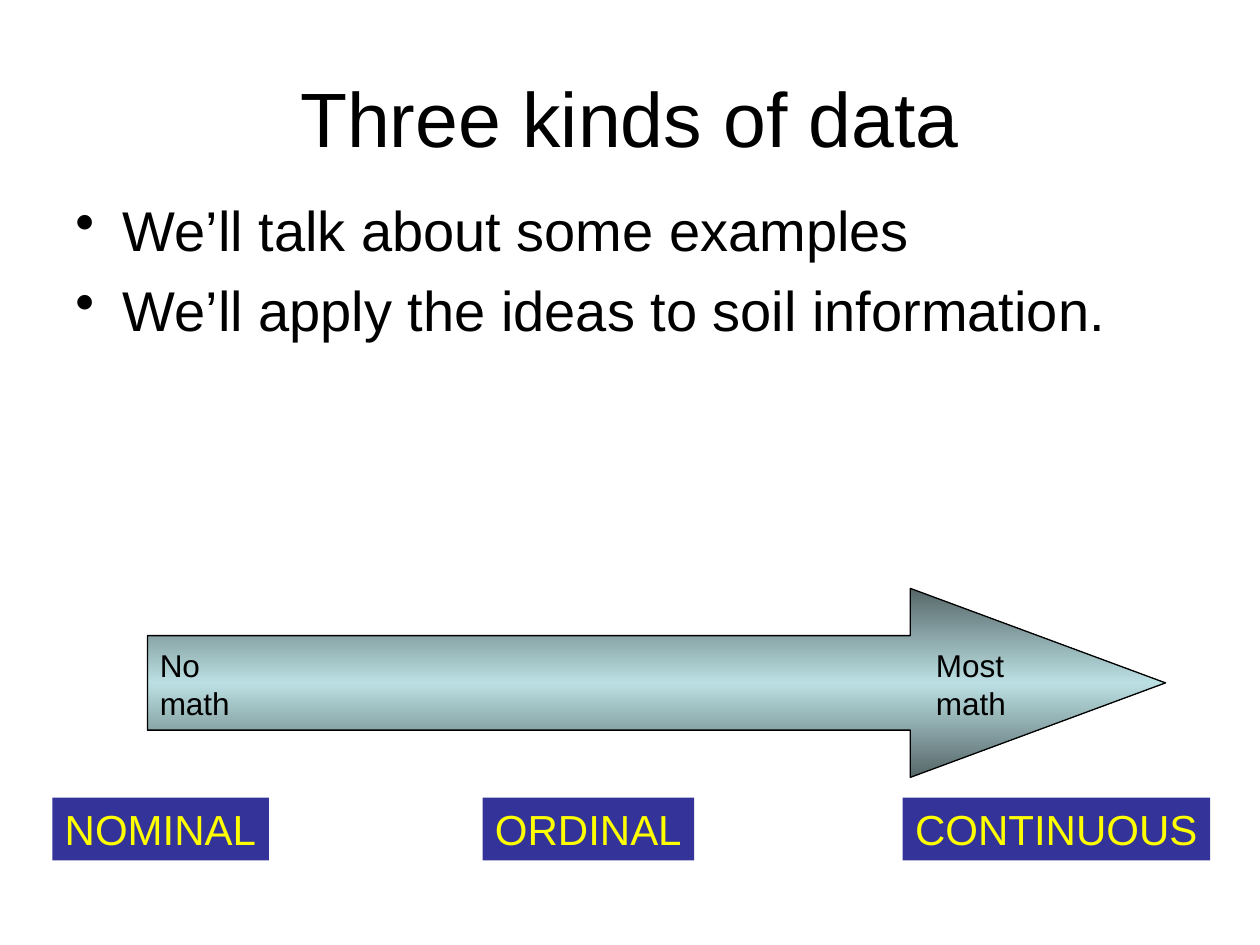
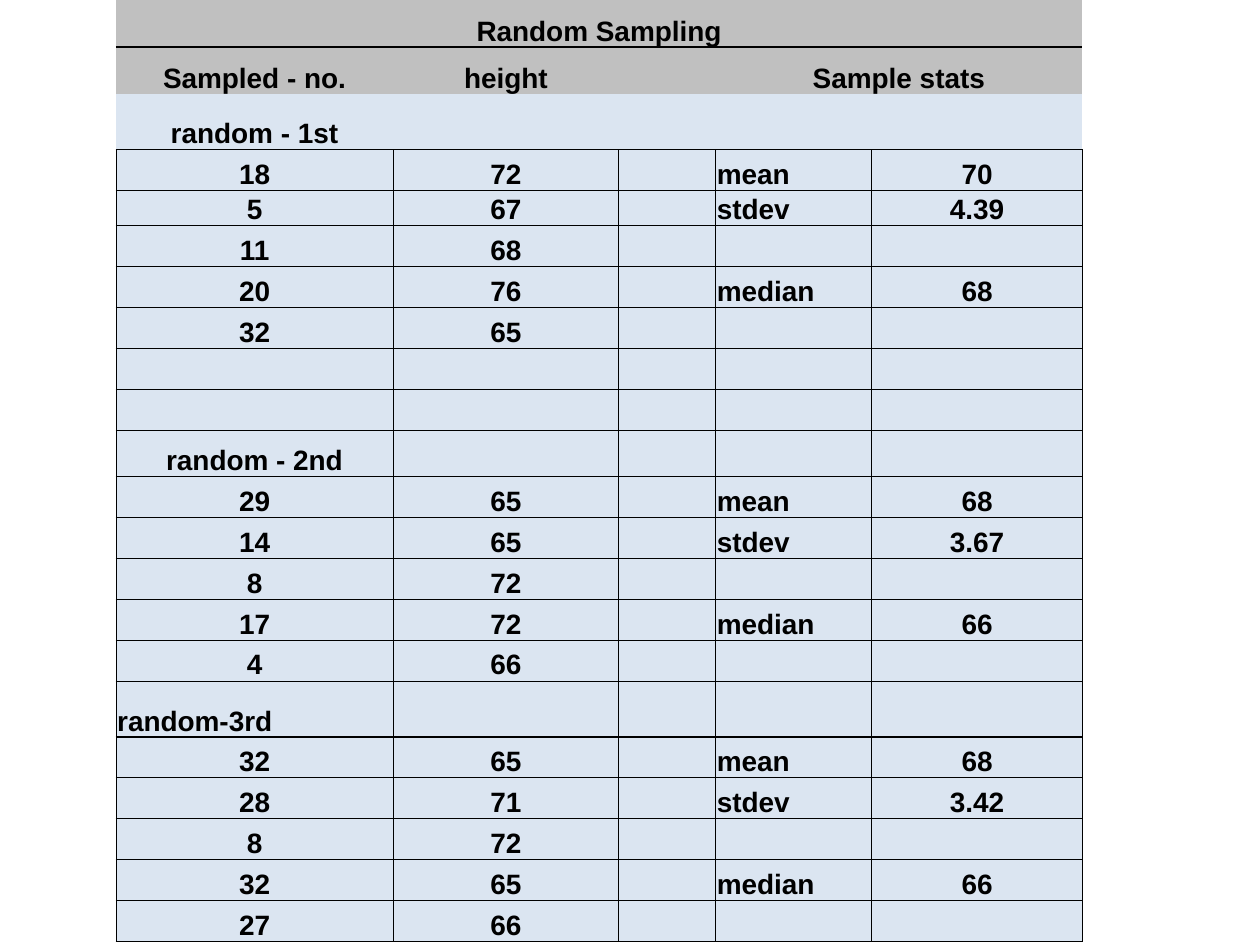
from copy import deepcopy
from dataclasses import dataclass

from lxml.etree import SubElement
from pptx import Presentation
from pptx.dml.color import RGBColor
from pptx.enum.shapes import MSO_SHAPE
from pptx.enum.text import MSO_ANCHOR, MSO_AUTO_SIZE, PP_ALIGN
from pptx.oxml.ns import qn
from pptx.util import Emu, Pt

EMU_PER_PX = 4572  # 200 px to the inch


def px(length: int) -> Emu:
    return Emu(length * EMU_PER_PX)


@dataclass(frozen=True)
class Theme:
    font: str = "Arial"
    ink: str = "000000"
    label_fill: str = "333399"
    label_ink: str = "FFFF00"
    arrow_edge: str = "566769"
    arrow_core: str = "BBE0E3"
    header_fill: str = "C0C0C0"
    body_fill: str = "DBE5F1"
    title_size: int = 44
    bullet_size: int = 32
    label_size: int = 24
    note_size: int = 18
    cell_size: int = 16
    thin_rule: float = 0.5
    thick_rule: float = 1


THEME = Theme()


@dataclass(frozen=True)
class Box:
    left: int
    top: int
    width: int
    height: int

    def place(self) -> tuple:
        return px(self.left), px(self.top), px(self.width), px(self.height)


@dataclass(frozen=True)
class Label:
    text: str
    box: Box


TITLE_BOX = Box(100, 60, 1800, 250)
BULLETS_BOX = Box(100, 300, 1800, 1040)
ARROW_BOX = Box(234, 934, 1616, 300)

NOTES = [
    Label("Most\nmath", Box(1466, 1016, 152, 140)),
    Label("No\nmath", Box(234, 1016, 152, 140)),
]
LABELS = [
    Label("NOMINAL", Box(83, 1266, 344, 100)),
    Label("ORDINAL", Box(766, 1266, 336, 100)),
    Label("CONTINUOUS", Box(1433, 1266, 488, 100)),
]

# Sampling table: number, height, gap, statistic, value
HEADER_ROWS = 2
FIRST_GRID_ROW = 3
SECTION_ROWS = (10, 16)
COLUMN_WIDTHS = [440, 358, 154, 248, 334]
ROW_HEIGHT = 65
SPECIAL_HEIGHTS = {0: 75, 1: 75, 2: 88, 4: 50, 10: 73, 16: 89}
SAMPLES = [
    ("Random Sampling",),
    ("Sampled - no.", "height", "", "Sample stats"),
    ("random - 1st",),
    ("18", "72", "", "mean", "70"),
    ("5", "67", "", "stdev", "4.39"),
    ("11", "68"),
    ("20", "76", "", "median", "68"),
    ("32", "65"),
    (),
    (),
    ("random - 2nd",),
    ("29", "65", "", "mean", "68"),
    ("14", "65", "", "stdev", "3.67"),
    ("8", "72"),
    ("17", "72", "", "median", "66"),
    ("4", "66"),
    ("random-3rd",),
    ("32", "65", "", "mean", "68"),
    ("28", "71", "", "stdev", "3.42"),
    ("8", "72"),
    ("32", "65", "", "median", "66"),
    ("27", "66"),
]
LEFT_ALIGNED = {"mean", "stdev", "median", "random-3rd"}


def write(frame, text: str, size: int, colour: str = THEME.ink,
          align=PP_ALIGN.LEFT, bold: bool = False) -> None:
    """Fill a text frame, one paragraph a line."""
    frame.text = text
    for paragraph in frame.paragraphs:
        paragraph.alignment = align
        font = paragraph.font
        font.name, font.size, font.bold = THEME.font, Pt(size), bold
        font.color.rgb = RGBColor.from_string(colour)


def add_text(page, box: Box, text: str, size: int, align=PP_ALIGN.LEFT):
    frame = page.shapes.add_textbox(*box.place()).text_frame
    frame.word_wrap = True
    write(frame, text, size, align=align)
    return frame


def fit_to_text(frame) -> None:
    frame.word_wrap = False
    frame.auto_size = MSO_AUTO_SIZE.SHAPE_TO_FIT_TEXT


def add_label(page, label: Label) -> None:
    shape = page.shapes.add_shape(MSO_SHAPE.RECTANGLE, *label.box.place())
    shape.shadow.inherit = False
    shape.fill.solid()
    shape.fill.fore_color.rgb = RGBColor.from_string(THEME.label_fill)
    shape.line.fill.background()
    write(shape.text_frame, label.text, THEME.label_size, THEME.label_ink)
    shape.text_frame.vertical_anchor = MSO_ANCHOR.TOP
    fit_to_text(shape.text_frame)


def add_bullets(page, box: Box, text: str) -> None:
    frame = add_text(page, box, text, THEME.bullet_size)
    for paragraph in frame.paragraphs:
        paragraph.space_before = Pt(7.7)
        properties = paragraph._p.get_or_add_pPr()
        properties.set("marL", str(px(75)))
        properties.set("indent", str(px(-75)))
        bullet = properties.makeelement(qn("a:buChar"), {"char": "•"})
        properties.find(qn("a:defRPr")).addprevious(bullet)


def add_math_arrow(page, box: Box) -> None:
    arrow = page.shapes.add_shape(MSO_SHAPE.RIGHT_ARROW, *box.place())
    arrow.shadow.inherit = False
    arrow.adjustments[0], arrow.adjustments[1] = 0.5, 1.35
    arrow.line.color.rgb = RGBColor.from_string(THEME.ink)
    arrow.line.width = Pt(0.75)
    arrow.fill.gradient()
    arrow.fill.gradient_angle = 90
    stop_list = arrow._element.spPr.find(".//" + qn("a:gsLst"))
    stop_list.append(deepcopy(stop_list[0]))
    colours = (THEME.arrow_edge, THEME.arrow_core, THEME.arrow_edge)
    for index, (stop, colour) in enumerate(zip(arrow.fill.gradient_stops, colours)):
        stop.position = index / 2
        stop.color.rgb = RGBColor.from_string(colour)


def rule_below(row: int) -> float:
    if row in (-1, 1):
        return 0
    if row == 0 or row in SECTION_ROWS:
        return THEME.thick_rule
    return THEME.thin_rule


def set_borders(cell, row: int) -> None:
    side = THEME.thin_rule if row >= FIRST_GRID_ROW else 0
    widths = {"lnL": side, "lnR": side,
              "lnT": rule_below(row - 1), "lnB": rule_below(row)}
    properties = cell._tc.get_or_add_tcPr()
    for tag, width in widths.items():
        line = SubElement(properties, qn(f"a:{tag}"), w=str(Pt(width)))
        if width:
            fill = SubElement(line, qn("a:solidFill"))
            SubElement(fill, qn("a:srgbClr"), val=THEME.ink)
        else:
            SubElement(line, qn("a:noFill"))


def fill_cell(cell, row: int, text: str) -> None:
    set_borders(cell, row)
    cell.fill.solid()
    colour = THEME.header_fill if row < HEADER_ROWS else THEME.body_fill
    cell.fill.fore_color.rgb = RGBColor.from_string(colour)
    cell.margin_left = cell.margin_right = cell.margin_top = px(2)
    cell.margin_bottom = 0
    cell.vertical_anchor = MSO_ANCHOR.BOTTOM
    align = PP_ALIGN.LEFT if text in LEFT_ALIGNED else PP_ALIGN.CENTER
    write(cell.text_frame, text, THEME.cell_size, align=align, bold=True)
    if not text:  # an empty cell takes its line height from the end mark
        end_mark = cell.text_frame.paragraphs[0]._p.get_or_add_endParaRPr()
        end_mark.set("sz", str(THEME.cell_size * 100))


def add_sampling_table(page) -> None:
    heights = [SPECIAL_HEIGHTS.get(row, ROW_HEIGHT) for row in range(len(SAMPLES))]
    box = Box(184, 0, sum(COLUMN_WIDTHS), sum(heights))
    table = page.shapes.add_table(len(heights), len(COLUMN_WIDTHS), *box.place()).table
    table.first_row = table.horz_banding = False
    for column, width in zip(table.columns, COLUMN_WIDTHS):
        column.width = px(width)
    for row, (texts, height) in enumerate(zip(SAMPLES, heights)):
        table.rows[row].height = px(height)
        for column in range(len(COLUMN_WIDTHS)):
            text = texts[column] if column < len(texts) else ""
            fill_cell(table.cell(row, column), row, text)
    table.cell(0, 0).merge(table.cell(0, 4))
    table.cell(1, 3).merge(table.cell(1, 4))


def main() -> None:
    deck = Presentation()
    deck.slide_width, deck.slide_height = px(2000), px(1500)
    blank = deck.slide_layouts[6]

    # Kinds of data
    page = deck.slides.add_slide(blank)
    title = add_text(page, TITLE_BOX, "Three kinds of data",
                     THEME.title_size, PP_ALIGN.CENTER)
    title.vertical_anchor = MSO_ANCHOR.MIDDLE
    add_bullets(page, BULLETS_BOX, "We’ll talk about some examples\n"
                "We’ll apply the ideas to soil information.")
    add_math_arrow(page, ARROW_BOX)
    for note in NOTES:
        fit_to_text(add_text(page, note.box, note.text, THEME.note_size))
    for label in LABELS:
        add_label(page, label)

    # Random sampling
    add_sampling_table(deck.slides.add_slide(blank))

    deck.save("out.pptx")


if __name__ == "__main__":
    main()
